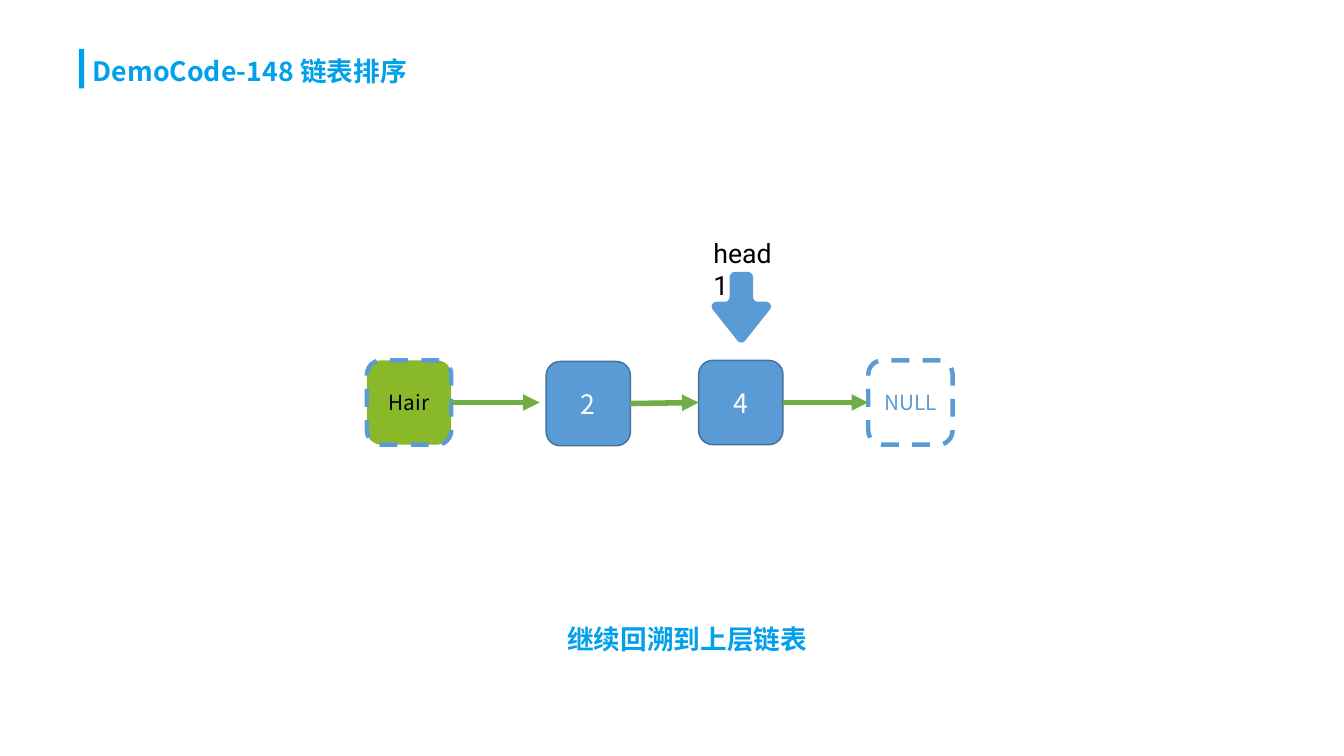
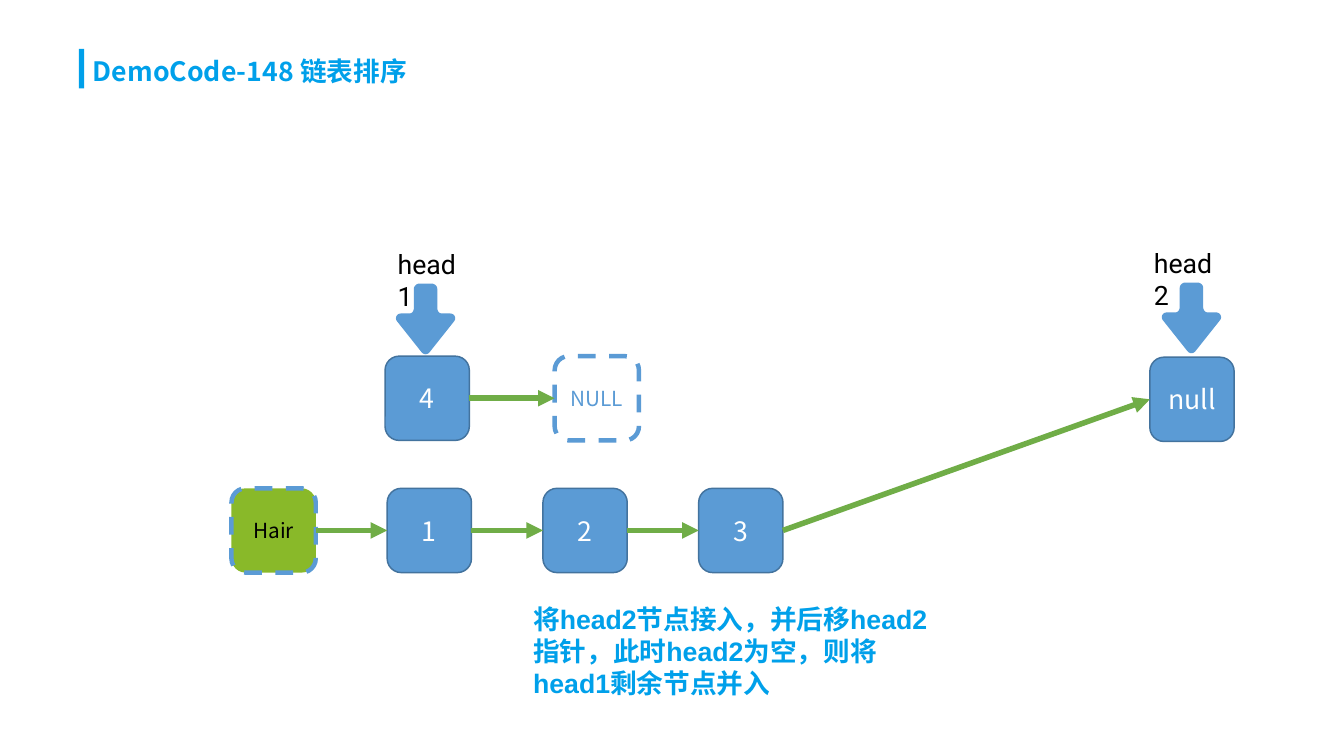
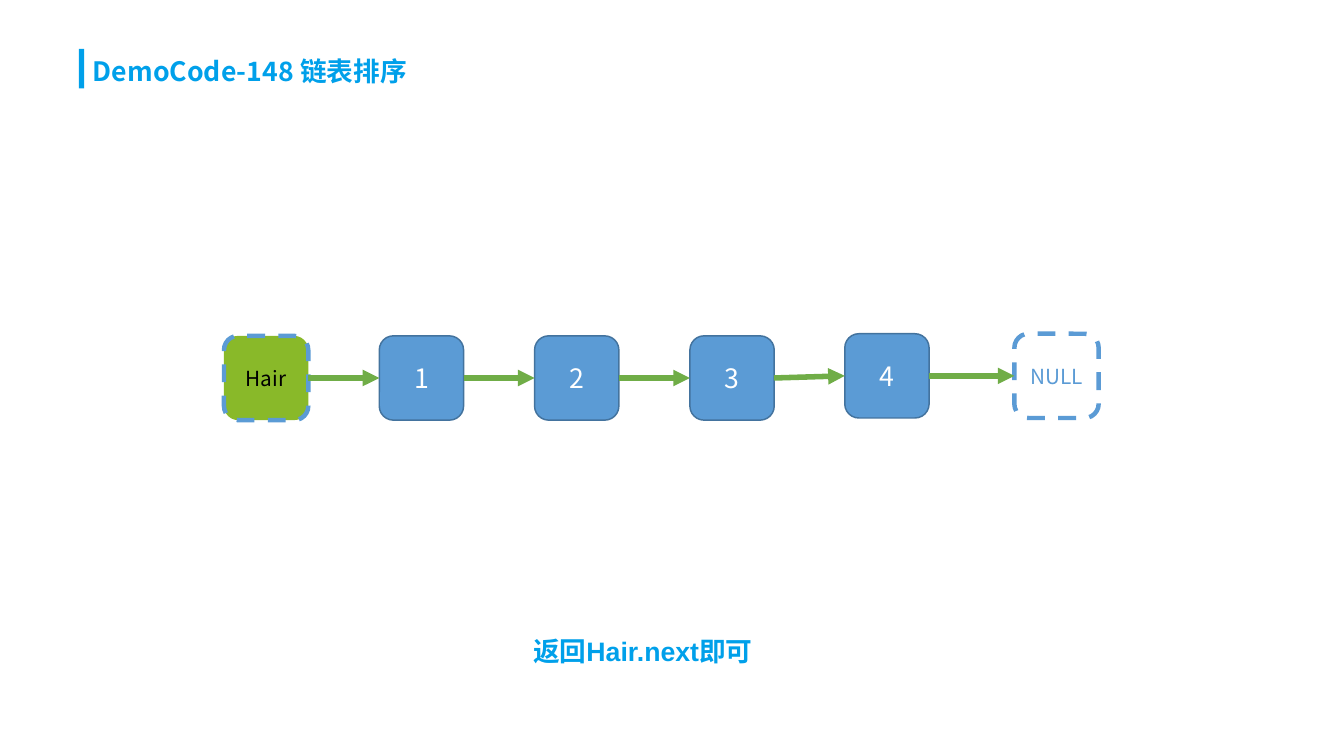
from dataclasses import dataclass

from lxml.etree import SubElement
from pptx import Presentation
from pptx.dml.color import RGBColor
from pptx.enum.dml import MSO_LINE
from pptx.enum.shapes import MSO_CONNECTOR, MSO_SHAPE
from pptx.enum.text import MSO_ANCHOR, MSO_AUTO_SIZE, PP_ALIGN
from pptx.oxml.ns import qn
from pptx.util import Inches, Pt


@dataclass(frozen=True)
class Theme:
    accent: str = "00A0EA"
    node: str = "5B9BD5"
    node_edge: str = "43739E"
    hair: str = "89B929"
    link: str = "70AD47"
    white: str = "FFFFFF"
    black: str = "000000"
    cjk: str = "Noto Sans CJK JP"
    caption_font: str = "Arial"
    pointer_font: str = "Roboto"
    body: int = 18
    small: int = 14
    edge_width: float = 1
    dash_width: float = 3
    link_width: float = 3.75
    node_size: float = 0.79


THEME = Theme()
TITLE = "DemoCode-148 链表排序"
RIGHT, LEFT = 3, 1

ARROW_AXIS = 0.29
ARROW_TIP = [(-0.04, 0.64), (-0.02, 0.67), (0.02, 0.67), (0.04, 0.64)]
ARROW_SIDE = [
    [(0.27, 0.35), (0.29, 0.32), (0.27, 0.28), (0.23, 0.28)],
    [(0.15, 0.28), (0.13, 0.28), (0.11, 0.26), (0.11, 0.23)],
    [(0.11, 0.05), (0.11, 0.02), (0.08, 0), (0.06, 0)],
]


def color(value):
    return RGBColor.from_string(value)


def paint(shape, fill, edge=None, width=None, dashed=False):
    shape.shadow.inherit = False
    shape.fill.solid()
    shape.fill.fore_color.rgb = color(fill)
    if edge is None:
        shape.line.fill.background()
        return
    shape.line.color.rgb = color(edge)
    shape.line.width = Pt(width)
    if dashed:
        shape.line.dash_style = MSO_LINE.DASH


def write(shape, text, ink, font, size=THEME.body, bold=False,
          align=PP_ALIGN.LEFT, anchor=MSO_ANCHOR.TOP, grow=True):
    frame = shape.text_frame
    frame.text = text
    frame.word_wrap = True
    frame.vertical_anchor = anchor
    frame.auto_size = MSO_AUTO_SIZE.SHAPE_TO_FIT_TEXT if grow else MSO_AUTO_SIZE.NONE
    paragraph = frame.paragraphs[0]
    paragraph.alignment = align
    for run in paragraph.runs:
        run.font.size = Pt(size)
        run.font.bold = bold
        run.font.color.rgb = color(ink)
        run.font.name = font
        properties = run.font._element
        properties.set("lang", "zh-CN")
        SubElement(properties, qn("a:ea")).set("typeface", THEME.cjk)


def place(shape, left, top, width, height):
    shape.left, shape.top = Inches(left), Inches(top)
    shape.width, shape.height = Inches(width), Inches(height)


def add_titled_slide(deck):
    slide = deck.slides.add_slide(deck.slide_layouts[5])
    title = slide.shapes.title
    place(title, 0.77, 0.46, 6.29, 0.4)
    write(title, TITLE, THEME.accent, THEME.cjk, bold=True)
    title_bar = slide.shapes.add_shape(
        MSO_SHAPE.RECTANGLE, Inches(0.74), Inches(0.46), Inches(0.05), Inches(0.37))
    paint(title_bar, THEME.accent)
    return slide


def add_caption(slide, text, left, top, width, height):
    caption = slide.shapes.add_shape(
        MSO_SHAPE.RECTANGLE, Inches(left), Inches(top), Inches(width), Inches(height))
    paint(caption, THEME.white)
    write(caption, text, THEME.accent, THEME.caption_font, bold=True,
          anchor=MSO_ANCHOR.MIDDLE)


def add_node(slide, text, left, top):
    size = Inches(THEME.node_size)
    node = slide.shapes.add_shape(
        MSO_SHAPE.ROUNDED_RECTANGLE, Inches(left), Inches(top), size, size)
    marker_styles = {"Hair": (THEME.hair, THEME.black), "NULL": (THEME.white, THEME.node)}
    if text in marker_styles:
        fill, ink = marker_styles[text]
        paint(node, fill, THEME.node, THEME.dash_width, dashed=True)
        text_size = THEME.small
    else:
        ink, text_size = THEME.white, THEME.body
        paint(node, THEME.node, THEME.node_edge, THEME.edge_width)
    write(node, text, ink, THEME.cjk, text_size, align=PP_ALIGN.CENTER,
          anchor=MSO_ANCHOR.MIDDLE, grow=False)
    return node


def add_link(slide, source, target, gap=0):
    end_x = target.left - Inches(gap)
    end_y = source.top + source.height // 2
    link = slide.shapes.add_connector(
        MSO_CONNECTOR.STRAIGHT, source.left + source.width, end_y, end_x, end_y)
    link.begin_connect(source, RIGHT)
    if not gap:
        link.end_connect(target, LEFT)
    link.line.color.rgb = color(THEME.link)
    link.line.width = Pt(THEME.link_width)
    SubElement(link.line._get_or_add_ln(), qn("a:tailEnd")).set("type", "triangle")
    SubElement(link._element.spPr, qn("a:effectLst"))


def add_chain(slide, nodes, first_gap=0):
    chain = [add_node(slide, *node) for node in nodes]
    for index, (source, target) in enumerate(zip(chain, chain[1:])):
        add_link(slide, source, target, 0 if index else first_gap)
    return chain


def curve_points(corner, steps=8):
    for step in range(steps + 1):
        t = step / steps
        weights = ((1 - t) ** 3, 3 * t * (1 - t) ** 2, 3 * t * t * (1 - t), t ** 3)
        yield tuple(sum(w * point[axis] for w, point in zip(weights, corner))
                    for axis in (0, 1))


def add_pointer(slide, text, left, top, label_left):
    group = slide.shapes.add_group_shape()
    mirrored = [[(-x, y) for x, y in reversed(corner)] for corner in reversed(ARROW_SIDE)]
    outline = [(Inches(left + ARROW_AXIS + x), Inches(top + y))
               for corner in [ARROW_TIP, *ARROW_SIDE, *mirrored]
               for x, y in curve_points(corner)]
    builder = group.shapes.build_freeform(*outline[0])
    builder.add_line_segments(outline[1:], close=True)
    paint(builder.convert_to_shape(), THEME.node)
    label = group.shapes.add_textbox(
        Inches(label_left), Inches(top - 0.38), Inches(0.84), Inches(0.4))
    write(label, text, THEME.black, THEME.pointer_font)


def build_backtrack_slide(deck):
    slide = add_titled_slide(deck)
    add_caption(slide, "继续回溯到上层链表", 5.22, 5.79, 2.84, 0.4)
    add_chain(slide, [("Hair", 3.44, 3.38), ("2", 5.12, 3.39),
                      ("4", 6.55, 3.38), ("NULL", 8.14, 3.38)], first_gap=0.06)
    add_pointer(slide, "head1", 6.66, 2.55, 6.59)


def build_merge_slide(deck):
    slide = add_titled_slide(deck)
    add_caption(slide, "将head2节点接入，并后移head2指针，此时head2为空，则将head1剩余节点并入",
                4.9, 5.6, 3.99, 1.01)
    add_chain(slide, [("4", 3.61, 3.34), ("NULL", 5.2, 3.34)])
    merged = [("Hair", 2.17)] + [(str(i + 1), 3.63 + 1.46 * i) for i in range(3)]
    add_chain(slide, [(text, left, 4.58) for text, left in merged]
              + [("null", 10.78, 3.35)])
    add_pointer(slide, "head1", 3.7, 2.66, 3.63)
    add_pointer(slide, "head2", 10.88, 2.65, 10.72)


def build_result_slide(deck):
    slide = add_titled_slide(deck)
    add_caption(slide, "返回Hair.next即可", 4.9, 5.9, 3.99, 0.4)
    texts = ["Hair", "1", "2", "3"]
    add_chain(slide, [(text, 2.1 + 1.456 * i, 3.15) for i, text in enumerate(texts)]
              + [("4", 7.92, 3.13), ("NULL", 9.51, 3.13)])


def main():
    deck = Presentation()
    deck.slide_width, deck.slide_height = Inches(12.6), Inches(7.09)
    build_backtrack_slide(deck)
    build_merge_slide(deck)
    build_result_slide(deck)
    deck.save("out.pptx")


if __name__ == "__main__":
    main()
